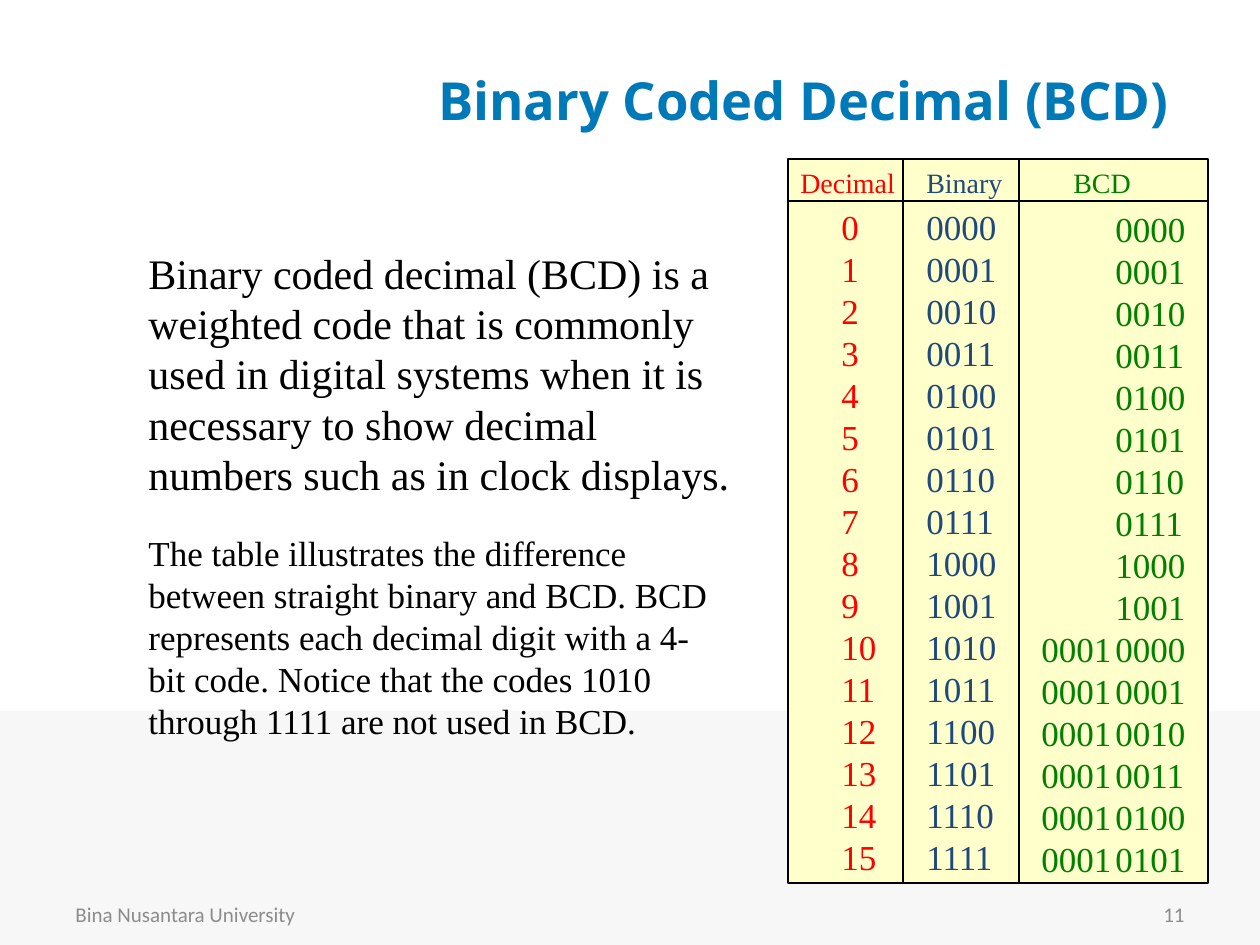
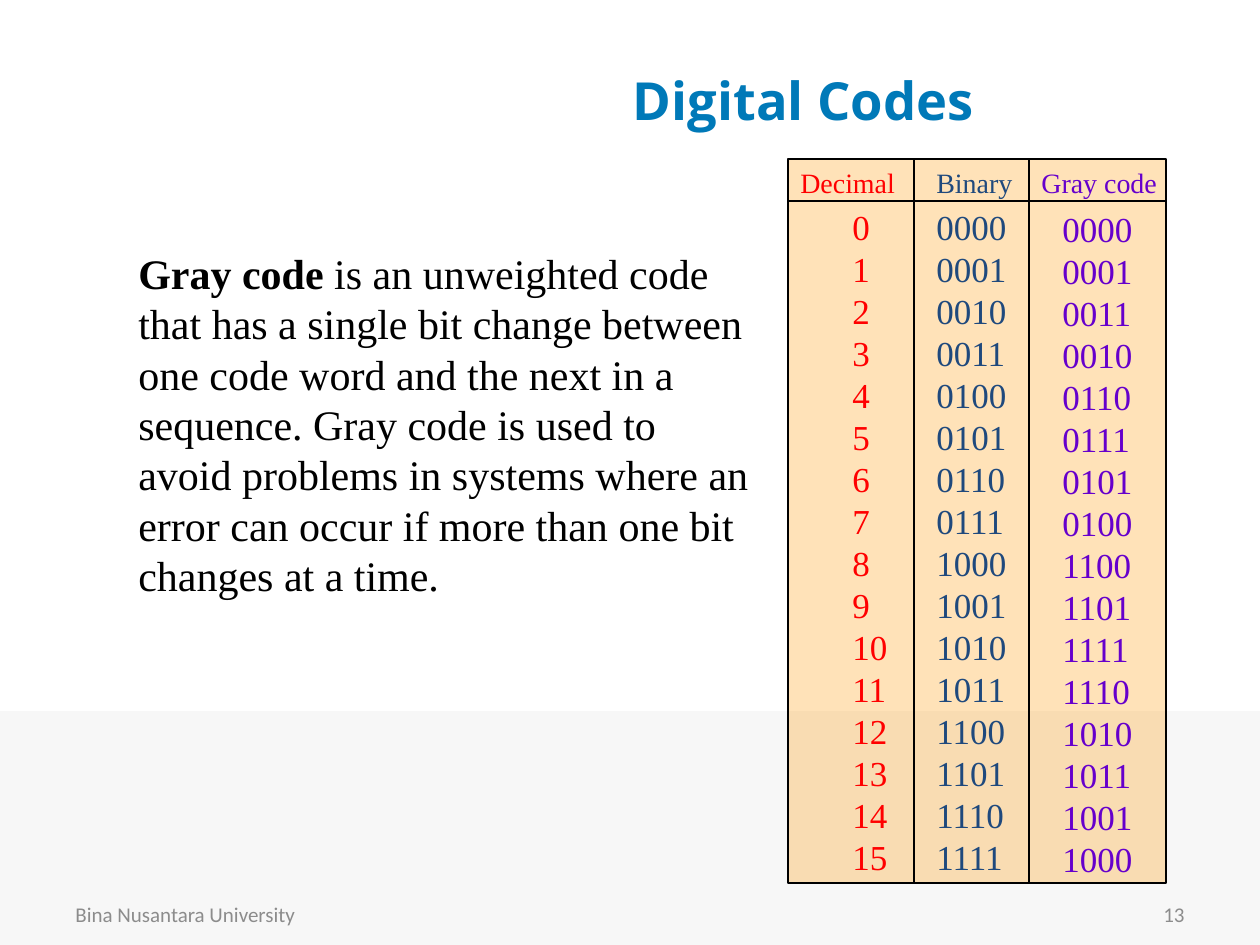
import lxml.etree
import pptx
import pptx.dml.color
import pptx.enum.shapes
import pptx.enum.text
import pptx.oxml.ns
import pptx.util

EMU_PER_PX = 914400 / 126
SLIDE_WIDTH, SLIDE_HEIGHT = 1260, 945
ALIGN = pptx.enum.text.PP_ALIGN
ANCHOR = pptx.enum.text.MSO_ANCHOR
BLACK, RED, NAVY, GREEN, PURPLE = "000000", "FF0000", "1F497D", "008000", "6600CC"
TITLE_BLUE, FOOTER_GRAY, BAND_GRAY = "0079B8", "8C8C8C", "F7F7F7"
SERIF, TITLE_FONT, FOOTER_FONT = "Times New Roman", "Open Sans", "Calibri"

LINE_HEIGHT_RATIO = 1.2
CHART_LEFT, CHART_TOP, CHART_HEIGHT = 788, 159, 724
HEADING_HEIGHT, ROW_HEIGHT, CODE_WIDTH = 42, 42, 116
CODES = range(16)
BINARY = [f"{n:04b}" for n in CODES]


def px(length):
    return pptx.util.Emu(round(length * EMU_PER_PX))


def color(hex_string):
    return pptx.dml.color.RGBColor.from_string(hex_string)


def add_text(shapes, box, *pieces, size=20, font=SERIF, ink=BLACK, align=ALIGN.LEFT,
             anchor=ANCHOR.TOP, leading=True):
    """Place one paragraph made of (text, bold) pieces, with fixed leading if asked."""
    frame = shapes.add_textbox(*map(px, box)).text_frame
    frame.word_wrap = True
    frame.vertical_anchor = anchor
    paragraph = frame.paragraphs[0]
    paragraph.alignment = align
    if leading:
        paragraph.line_spacing = pptx.util.Pt(size * LINE_HEIGHT_RATIO)
    for text, bold in pieces:
        run = paragraph.add_run()
        run.text = text
        run.font.size = pptx.util.Pt(size)
        run.font.name = font
        run.font.bold = bold
        run.font.color.rgb = color(ink)


def add_panel(shapes, box, fill, opacity=100, outline=None):
    panel = shapes.add_shape(pptx.enum.shapes.MSO_SHAPE.RECTANGLE, *map(px, box))
    panel.shadow.inherit = False
    panel.fill.solid()
    panel.fill.fore_color.rgb = color(fill)
    if opacity < 100:
        tint = panel._element.spPr.find(".//" + pptx.oxml.ns.qn("a:srgbClr"))
        lxml.etree.SubElement(tint, pptx.oxml.ns.qn("a:alpha"), val=str(opacity * 1000))
    if outline:
        panel.line.color.rgb = color(outline)
        panel.line.width = pptx.util.Pt(0.75)
    else:
        panel.line.fill.background()


def add_rule(shapes, x1, y1, x2, y2):
    rule = shapes.add_connector(pptx.enum.shapes.MSO_CONNECTOR.STRAIGHT,
                                *map(px, (x1, y1, x2, y2)))
    rule.line.color.rgb = color(BLACK)
    rule.line.width = pptx.util.Pt(0.75)
    lxml.etree.SubElement(rule._element.spPr, pptx.oxml.ns.qn("a:effectLst"))


def add_frame(slide, title, number):
    """Draw the lower band, footer and title that every slide shares."""
    add_panel(slide.shapes, (0, 711, SLIDE_WIDTH, 234), BAND_GRAY)
    footer = dict(anchor=ANCHOR.MIDDLE, size=12, font=FOOTER_FONT, ink=FOOTER_GRAY,
                  leading=False)
    add_text(slide.shapes, (63, 889, 294, 50), ("Bina Nusantara University", False),
             **footer)
    add_text(slide.shapes, (903, 889, 294, 50), (str(number), False),
             align=ALIGN.RIGHT, **footer)
    add_text(slide.shapes, (347, 52, 913, 95), (title, True), anchor=ANCHOR.MIDDLE,
             size=30, font=TITLE_FONT, ink=TITLE_BLUE, align=ALIGN.CENTER, leading=False)


def add_codes(shapes, left, values, ink, width=CODE_WIDTH, first_row=0, drop=0):
    """Stack codes in a box so narrow that each one wraps to its own row."""
    top = CHART_TOP + 40 + drop + first_row * ROW_HEIGHT
    add_text(shapes, (CHART_LEFT + left, top, width, len(values) * ROW_HEIGHT + 20),
             (" ".join(values), False), ink=ink)


def add_heading(shapes, left, width, text, ink):
    add_text(shapes, (CHART_LEFT + left, CHART_TOP, width, 47), (text, False),
             size=16, ink=ink)


def add_code_chart(slide, width, dividers, decimal_left, binary_left, fill, opacity=100):
    """Draw the ruled panel with the decimal and binary columns; return its shapes."""
    shapes = slide.shapes.add_group_shape().shapes
    add_panel(shapes, (CHART_LEFT, CHART_TOP, width, CHART_HEIGHT), fill, opacity, BLACK)
    heading_bottom = CHART_TOP + HEADING_HEIGHT
    add_rule(shapes, CHART_LEFT, heading_bottom, CHART_LEFT + width, heading_bottom)
    for divider in dividers:
        x = CHART_LEFT + divider
        add_rule(shapes, x, CHART_TOP, x, CHART_TOP + CHART_HEIGHT)
    add_heading(shapes, 0, 189, "Decimal", RED)
    add_codes(shapes, decimal_left, [str(n) for n in CODES], RED, width=63)
    add_heading(shapes, binary_left, 126, "Binary", NAVY)
    add_codes(shapes, binary_left, BINARY, NAVY)
    return shapes


def build_bcd_slide(slide):
    add_frame(slide, "Binary Coded Decimal (BCD)", 11)
    add_text(slide.shapes, (136, 241, 620, 267),
             ("Binary coded decimal (BCD) is a weighted code that is commonly used in "
              "digital systems when it is necessary to show decimal numbers such as in "
              "clock displays.", False), size=24)
    add_text(slide.shapes, (136, 525, 599, 289),
             ("The table illustrates the difference between straight binary and BCD. "
              "BCD represents each decimal digit with a 4-bit code. Notice that the "
              "codes 1010 through 1111 are not used in BCD.", False))
    shapes = add_code_chart(slide, 420, (115, 231), 41, 126, "FFFFCC")
    add_heading(shapes, 273, 126, "BCD", GREEN)
    two_digit = [BINARY[n // 10] for n in CODES if n >= 10]
    add_codes(shapes, 241, two_digit, GREEN, first_row=10, drop=2)
    add_codes(shapes, 315, [BINARY[n % 10] for n in CODES], GREEN, drop=2)


def build_gray_slide(slide):
    add_frame(slide, "Digital Codes", 13)
    add_text(slide.shapes, (126, 241, 640, 369), ("Gray code", True),
             (" is an unweighted code that has a single bit change between one code "
              "word and the next in a sequence. Gray code is used to avoid problems in "
              "systems where an error can occur if more than one bit changes at a time.",
              False), size=24)
    shapes = add_code_chart(slide, 378, (126, 241), 52, 136, "FF9900", opacity=28)
    add_heading(shapes, 241, 147, "Gray code", PURPLE)
    add_codes(shapes, 262, [BINARY[n ^ n >> 1] for n in CODES], PURPLE, drop=2)


def main():
    deck = pptx.Presentation()
    deck.slide_width, deck.slide_height = px(SLIDE_WIDTH), px(SLIDE_HEIGHT)
    for build in (build_bcd_slide, build_gray_slide):
        build(deck.slides.add_slide(deck.slide_layouts[6]))
    deck.save("out.pptx")


if __name__ == "__main__":
    main()
